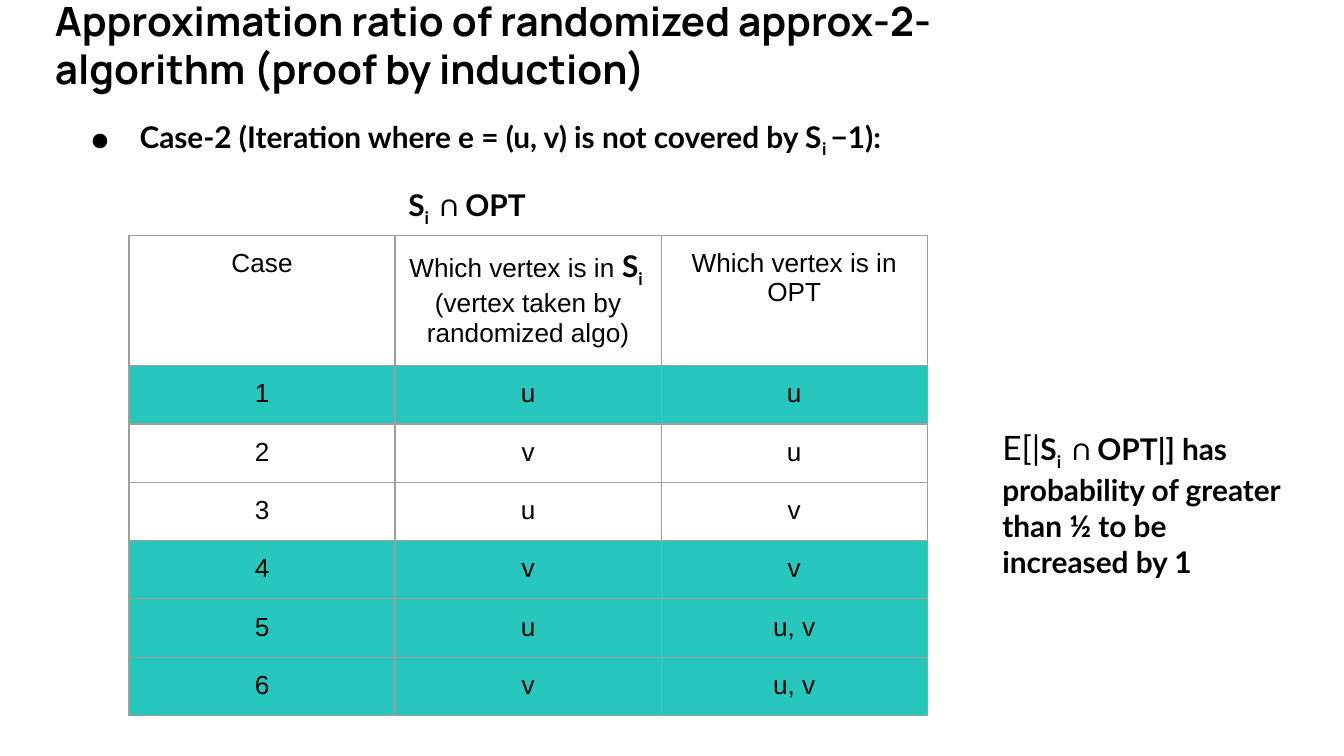
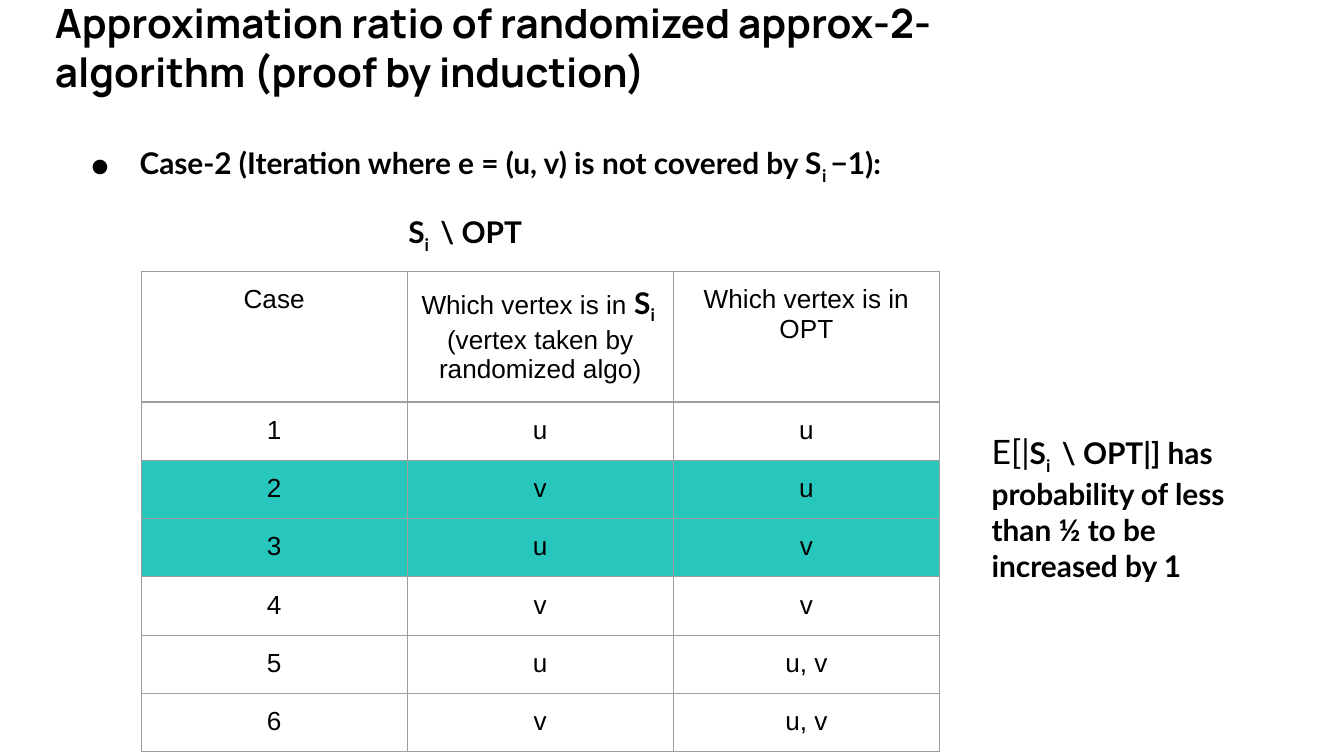
import lxml.etree
import pptx
import pptx.dml.color
import pptx.enum.text
import pptx.oxml.ns
import pptx.util

Inches = pptx.util.Inches
Pt = pptx.util.Pt
RGBColor = pptx.dml.color.RGBColor

BLACK = RGBColor(0x00, 0x00, 0x00)
TEAL = RGBColor(0x27, 0xC7, 0xBD)
GREY = RGBColor(0x9E, 0x9E, 0x9E)

TITLE = {"name": "Manrope", "size": Pt(21.6), "bold": True}
BODY = {"name": "Lato", "size": Pt(16), "bold": True}
SUBSCRIPT = {**BODY, "baseline": -25000}
EXPECTATION = {"name": "Lato", "size": Pt(18), "bold": False}
CELL = {"name": "Arial", "size": Pt(14), "bold": False}

S_I = [("S", BODY), ("i ", SUBSCRIPT)]
HEADINGS = [
    [("Case", CELL)],
    [("Which vertex is in ", CELL), *S_I,
     (" (vertex taken by randomized algo)", CELL)],
    [("Which vertex is in OPT", CELL)],
]
VERTEX_CASES = [("u", "u"), ("v", "u"), ("u", "v"),
                ("v", "v"), ("u", "u, v"), ("v", "u, v")]


def add_xml(parent, tag, **attributes):
    element = lxml.etree.SubElement(parent, pptx.oxml.ns.qn(tag))
    for name, value in attributes.items():
        element.set(name, str(value))
    return element


class SlideWriter:
    """Holds the deck, its shared style and the slide being written."""

    margin = Inches(0.1)
    column_width = Inches(1.98)
    row_height = Inches(0.42)

    def __init__(self):
        self.deck = pptx.Presentation()
        self.deck.slide_width = Inches(10)
        self.deck.slide_height = Inches(10) * 9 // 16
        self.page = None

    def new_page(self):
        self.page = self.deck.slides.add_slide(self.deck.slide_layouts[6])

    def spans(self, para, parts):
        """Add (text, format) parts to a paragraph."""
        for text, style in parts:
            span = para.add_run()
            span.text = text
            span.font.color.rgb = BLACK
            for name, value in style.items():
                if name == "baseline":
                    span._r.get_or_add_rPr().set(name, str(value))
                else:
                    setattr(span.font, name, value)

    def text(self, left, top, width, height, parts):
        box = self.page.shapes.add_textbox(
            Inches(left), Inches(top), Inches(width), Inches(height))
        frame = box.text_frame
        frame.word_wrap = True
        for side in ("left", "right", "top", "bottom"):
            setattr(frame, f"margin_{side}", self.margin)
        self.spans(frame.paragraphs[0], parts)
        return frame

    def title(self, top, text):
        self.text(0.31, top, 8.08, 0.91, [(text, TITLE)])

    def indent(self, para, left, first):
        properties = para._p.get_or_add_pPr()
        properties.set("marL", str(Inches(left)))
        properties.set("indent", str(Inches(first)))
        return properties

    def case_heading(self, top, operation):
        frame = self.text(0.44, top, 8.42, 1.88, [
            ("Case-2 (Iteration where e = (u, v) is not covered by S", BODY),
            ("i ", SUBSCRIPT), ("−1):", BODY)])
        bullet = self.indent(frame.paragraphs[0], 0.5, -0.36)
        add_xml(add_xml(bullet, "a:buClr"), "a:srgbClr", val=BLACK)
        add_xml(bullet, "a:buSzPts", val=1600)
        add_xml(bullet, "a:buFont", typeface="Lato")
        add_xml(bullet, "a:buChar", char="●")
        para = frame.add_paragraph()
        self.indent(para, 2, 0.5)
        para.space_before = Pt(15)
        self.spans(para, [*S_I, (f" {operation} OPT", BODY)])

    def cell(self, cell, parts, marked):
        for side in ("left", "right", "top", "bottom"):
            setattr(cell, f"margin_{side}", self.margin)
        para = cell.text_frame.paragraphs[0]
        para.alignment = pptx.enum.text.PP_ALIGN.CENTER
        self.spans(para, parts)
        properties = cell._tc.get_or_add_tcPr()
        for edge in ("a:lnL", "a:lnR", "a:lnT", "a:lnB"):
            line = add_xml(properties, edge, w=Pt(0.75))
            add_xml(add_xml(line, "a:solidFill"), "a:srgbClr", val=GREY)
        if marked:
            cell.fill.solid()
            cell.fill.fore_color.rgb = TEAL
        else:
            cell.fill.background()

    def case_table(self, left, top, marked_cases):
        rows = [HEADINGS]
        for number, vertices in enumerate(VERTEX_CASES, 1):
            rows.append([[(text, CELL)] for text in (str(number), *vertices)])
        columns = len(HEADINGS)
        table = self.page.shapes.add_table(
            len(rows), columns, Inches(left), Inches(top),
            self.column_width * columns, self.row_height * len(rows)).table
        table.first_row = table.horz_banding = False
        for number, row in enumerate(rows):
            for column, parts in enumerate(row):
                self.cell(table.cell(number, column), parts,
                          number in marked_cases)

    def conclusion(self, left, top, width, operation, comparison):
        self.text(left, top, width, 1.31, [
            ("E[|", EXPECTATION), *S_I,
            (f" {operation} OPT|] has probability of {comparison} than ½ "
             "to be increased by 1", BODY)])


def main():
    writer = SlideWriter()
    title = ("Approximation ratio of randomized approx-2-algorithm "
             "(proof by induction)")

    writer.new_page()
    writer.title(-0.13, title)
    writer.case_heading(0.78, "∩")
    writer.case_table(0.96, 1.75, {1, 4, 5, 6})
    writer.conclusion(7.36, 3.08, 2.33, "∩", "greater")

    writer.new_page()
    writer.title(-0.11, title)
    writer.case_heading(0.98, "\\")
    writer.case_table(1.05, 2.02, {2, 3})
    writer.conclusion(7.28, 3.11, 2.41, "\\", "less")

    writer.deck.save("out.pptx")


if __name__ == "__main__":
    main()
